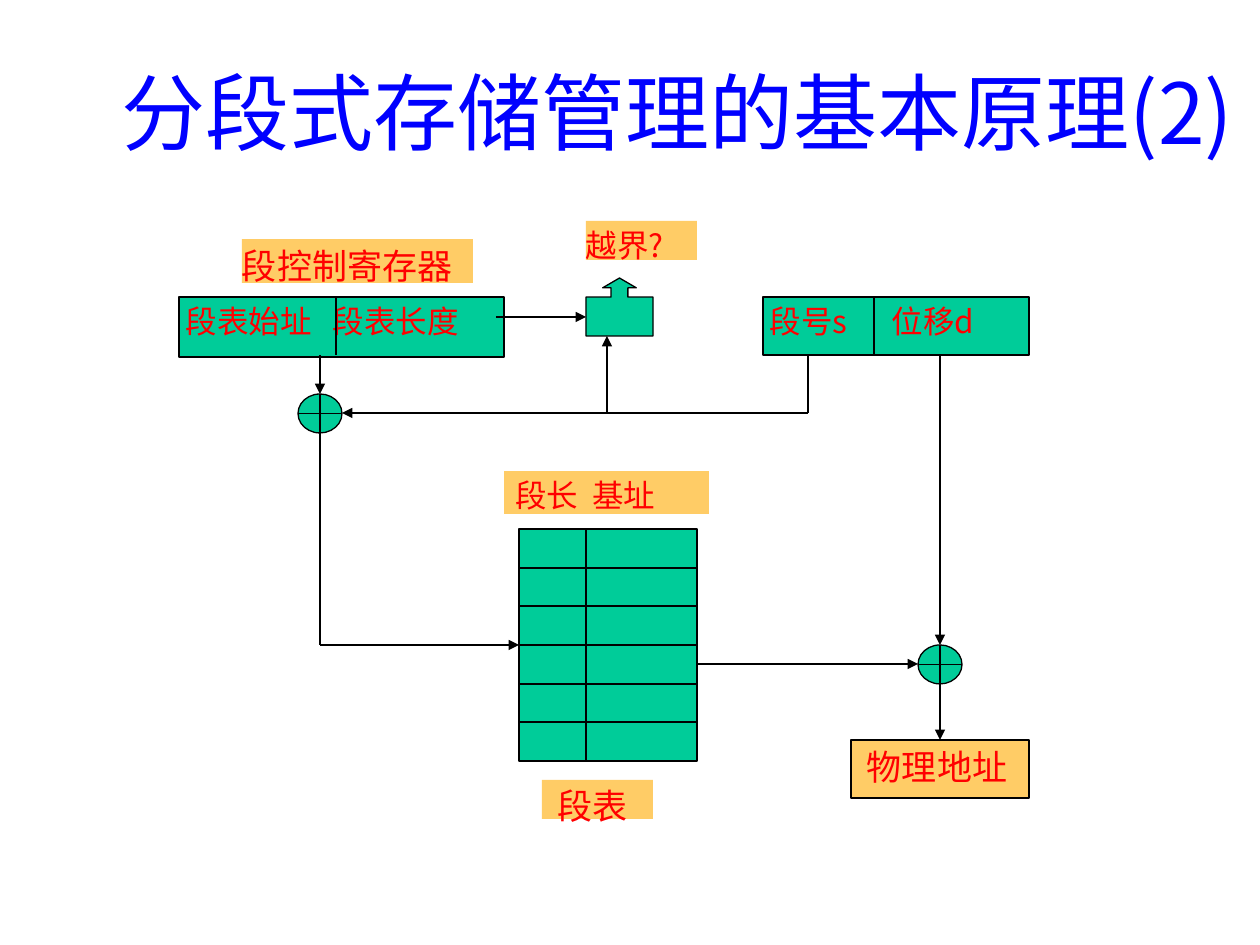
from lxml.etree import SubElement
from pptx import Presentation
from pptx.dml.color import RGBColor
from pptx.enum.shapes import MSO_CONNECTOR as CONN, MSO_SHAPE as SHAPE
from pptx.enum.text import MSO_ANCHOR as ANCHOR, PP_ALIGN as ALIGN
from pptx.oxml.ns import qn
from pptx.util import Emu, Pt

EMU_PER_PX = 914400 / 126
FONT = "Noto Sans CJK JP"
COLORS = {"title": "0000FF", "label": "FF0000", "green": "00CC99",
          "sand": "FFCC66", "line": "000000"}


def px(n):
    """Turn pixels into EMU."""
    return Emu(round(n * EMU_PER_PX))


def rgb(name):
    """Look up a named colour."""
    return RGBColor.from_string(COLORS[name])


def add_run(p, text, size, color):
    """Add one formatted run to a paragraph."""
    r = p.add_run()
    r.text = text
    r.font.size = Pt(size)
    r.font.name = FONT
    r.font.color.rgb = rgb(color)
    SubElement(r.font._element, qn("a:ea"), typeface=FONT)


def add_title(s, text):
    """Place and fill the title placeholder."""
    sp = s.shapes.title
    sp.left, sp.top, sp.width, sp.height = map(px, (95, 84, 1165, 157))
    tf = sp.text_frame
    tf.word_wrap = True
    tf.vertical_anchor = ANCHOR.MIDDLE
    tf.margin_top, tf.margin_bottom = px(6), px(109)
    p = tf.paragraphs[0]
    p.alignment = ALIGN.CENTER
    add_run(p, text, 48, "title")


def add_shape(s, kind, box, fill, outlined=True):
    """Add a flat preset shape."""
    sp = s.shapes.add_shape(kind, *map(px, box))
    sp.shadow.inherit = False
    sp.fill.solid()
    sp.fill.fore_color.rgb = rgb(fill)
    if outlined:
        sp.line.color.rgb = rgb("line")
        sp.line.width = Pt(0.75)
    else:
        sp.line.fill.background()
    return sp


def add_box(s, box, fill, text, size, inset=0, tab=None, outlined=True):
    """Add a labelled rectangle, with an optional tab stop for a second label."""
    sp = add_shape(s, SHAPE.RECTANGLE, box, fill, outlined)
    tf = sp.text_frame
    tf.word_wrap = True
    tf.vertical_anchor = ANCHOR.TOP
    tf.margin_left, tf.margin_top = px(inset), px(5)
    tf.margin_right = tf.margin_bottom = 0
    p = tf.paragraphs[0]
    p.alignment = ALIGN.JUSTIFY
    if tab:
        tabs = SubElement(p._p.get_or_add_pPr(), qn("a:tabLst"))
        SubElement(tabs, qn("a:tab"), pos=str(px(tab)), algn="l")
    add_run(p, text, size, "label")
    return sp


def add_line(s, x1, y1, x2, y2, arrow=False, end=None):
    """Add a line, with an optional arrowhead and (shape, site) to join."""
    c = s.shapes.add_connector(CONN.STRAIGHT, *map(px, (x1, y1, x2, y2)))
    c.line.color.rgb = rgb("line")
    c.line.width = Pt(0.75)
    if arrow:
        SubElement(c.line._get_or_add_ln(), qn("a:tailEnd"), type="triangle")
    SubElement(c._element.spPr, qn("a:effectLst"))
    if end:
        c.end_connect(*end)


def add_segment_table(s, x, y, w, h, rows, split):
    """Add the segment table as a ruled rectangle."""
    sp = add_shape(s, SHAPE.RECTANGLE, (x, y, w, h), "green")
    for i in range(1, rows):
        row_y = y + round(h * i / rows)
        add_line(s, x, row_y, x + w, row_y)
    add_line(s, split, y, split, y + h)
    return sp


def add_adder(s, x, y):
    """Add an adder circle."""
    add_shape(s, SHAPE.FLOWCHART_OR, (x, y, 44, 39), "green")


def add_check(s):
    """Add the bounds check with its upward arrow."""
    sp = add_shape(s, SHAPE.UP_ARROW_CALLOUT, (586, 278, 67, 58), "green")
    for i, value in enumerate((0.29, 0.29, 0.17, 0.67)):
        sp.adjustments[i] = value


def main():
    """Build the slide."""
    prs = Presentation()
    prs.slide_width, prs.slide_height = px(1260), px(945)
    s = prs.slides.add_slide(prs.slide_layouts[5])
    add_title(s, "分段式存储管理的基本原理(2)")

    for box, text, size, inset, tab in (
            ((242, 239, 231, 44), "段控制寄存器", 20, 0, None),
            ((504, 471, 205, 43), "段长\t基址", 18, 11, 77),
            ((586, 221, 111, 39), "越界?", 18, 0, None),
            ((542, 780, 111, 39), "段表", 20, 16, None)):
        add_box(s, box, "sand", text, size, inset, tab, outlined=False)

    add_box(s, (179, 297, 325, 60), "green", "段表始址\t段表长度", 18, 7, 147)
    add_box(s, (763, 297, 266, 58), "green", "段号s\t位移d", 18, 7, 122)
    for x in (336, 874):
        add_line(s, x, 297, x, 355)
    table = add_segment_table(s, 519, 529, 178, 232, 6, 586)
    address = add_box(s, (851, 740, 178, 58), "sand", "物理地址", 20, 16)
    add_check(s)
    add_adder(s, 298, 394)
    add_adder(s, 918, 645)

    for ends in ((808, 355, 808, 413), (320, 433, 320, 645)):
        add_line(s, *ends)
    for ends in ((320, 355, 320, 394), (808, 413, 342, 413),
                 (607, 413, 607, 336), (496, 317, 586, 317),
                 (697, 664, 918, 664), (940, 355, 940, 645)):
        add_line(s, *ends, arrow=True)
    add_line(s, 320, 645, 519, 645, arrow=True, end=(table, 1))
    add_line(s, 940, 684, 940, 740, arrow=True, end=(address, 0))
    prs.save("out.pptx")


if __name__ == "__main__":
    main()
